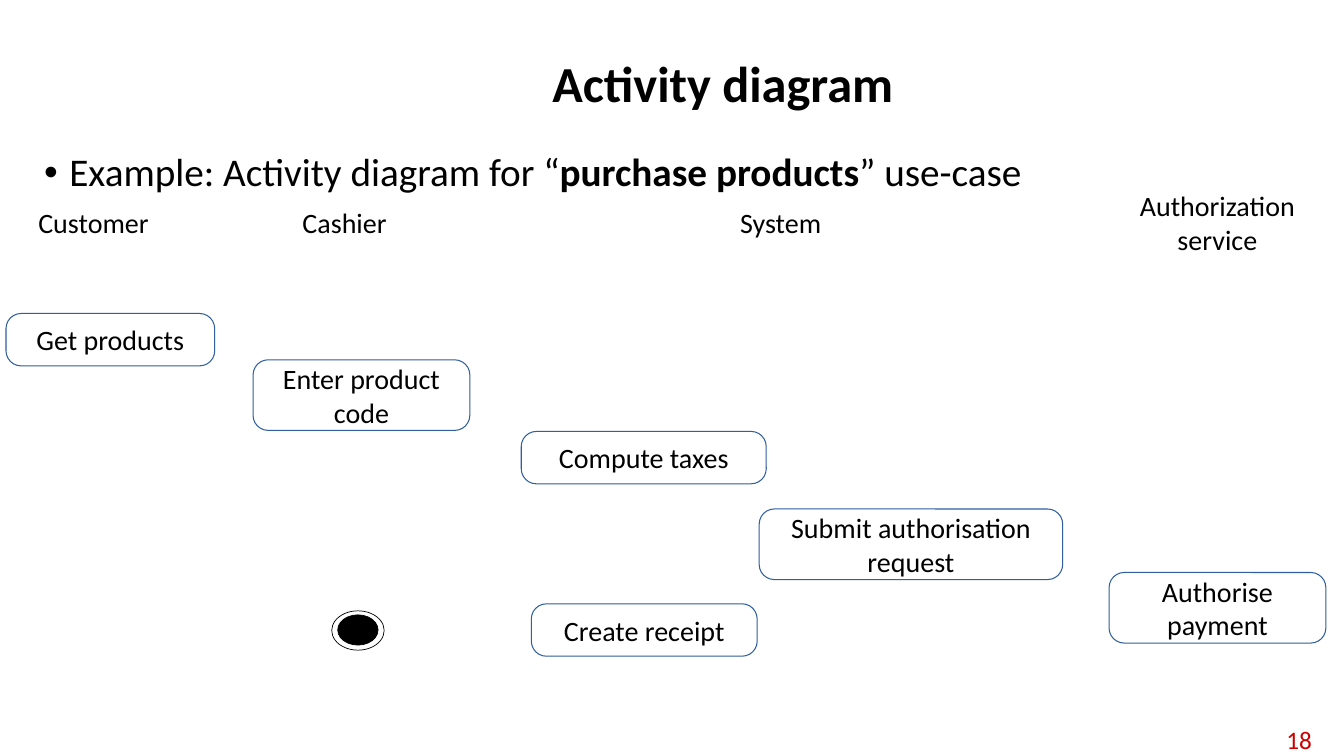
from dataclasses import dataclass

from lxml.etree import SubElement
from pptx import Presentation
from pptx.dml.color import RGBColor
from pptx.enum.shapes import MSO_SHAPE
from pptx.enum.text import MSO_ANCHOR, MSO_AUTO_SIZE, PP_ALIGN
from pptx.oxml.ns import qn
from pptx.shapes.autoshape import Shape
from pptx.slide import Slide
from pptx.text.text import TextFrame
from pptx.util import Inches, Pt


@dataclass(frozen=True)
class Theme:
    font: str = "Calibri"
    ink: RGBColor = RGBColor(0, 0, 0)
    number: RGBColor = RGBColor(0xCC, 0, 0)
    outline: RGBColor = RGBColor(0x2F, 0x5F, 0x9E)
    title_size: float = 36
    body_size: float = 28
    label_size: float = 20
    number_size: float = 18
    outline_width: float = 0.75
    marker_width: float = 0.5
    corner_radius: float = 0.15


THEME = Theme()


@dataclass(frozen=True)
class Area:
    left: float
    top: float
    width: float
    height: float

    def lengths(self) -> list[int]:
        return [Inches(side) for side in (self.left, self.top, self.width, self.height)]


@dataclass(frozen=True)
class Label:
    text: str
    area: Area
    align: PP_ALIGN = PP_ALIGN.CENTER


ONE_LINE, TWO_LINES = 0.52, 0.7
LANE_TOP, LANE_HEIGHT = 1.99, 0.43

LANES = [
    Label("Customer", Area(0.33, LANE_TOP, 1.31, LANE_HEIGHT), PP_ALIGN.LEFT),
    Label("Cashier", Area(2.95, LANE_TOP, 1.06, LANE_HEIGHT), PP_ALIGN.LEFT),
    Label("System", Area(7.29, LANE_TOP, 1.03, LANE_HEIGHT), PP_ALIGN.LEFT),
    Label("Authorization\nservice", Area(11.21, 1.82, 1.73, 0.77)),
]
ACTIVITIES = [
    Label("Get products", Area(0.06, 3.11, 2.07, ONE_LINE)),
    Label("Enter product code", Area(2.51, 3.57, 2.15, TWO_LINES)),
    Label("Compute taxes", Area(5.17, 4.28, 2.43, ONE_LINE)),
    Label("Create receipt", Area(5.27, 5.99, 2.24, ONE_LINE)),
    Label("Submit authorisation request", Area(7.53, 5.05, 3.01, TWO_LINES)),
    Label("Authorise\npayment", Area(11, 5.68, 2.15, TWO_LINES)),
]


def set_margins(frame: TextFrame, margin: float) -> None:
    frame.margin_left = frame.margin_right = Inches(margin)
    frame.margin_top = frame.margin_bottom = Inches(margin)


def write(frame: TextFrame, text: str, size: float, align: PP_ALIGN,
          color: RGBColor = THEME.ink, bold: bool = False) -> None:
    """Fill the frame, one paragraph for each line of text."""
    frame.vertical_anchor = MSO_ANCHOR.MIDDLE
    frame.text = text
    for para in frame.paragraphs:
        para.alignment = align
        para.font.name = THEME.font
        para.font.size = Pt(size)
        para.font.color.rgb = color
        para.font.bold = bold


def add_text(page: Slide, area: Area) -> TextFrame:
    frame = page.shapes.add_textbox(*area.lengths()).text_frame
    frame.word_wrap = True
    return frame


def add_outline(page: Slide, kind: MSO_SHAPE, area: Area,
                color: RGBColor, width: float) -> Shape:
    """Add an unfilled shape with a thin line."""
    shape = page.shapes.add_shape(kind, *area.lengths())
    shape.shadow.inherit = False
    shape.fill.background()
    shape.line.color.rgb = color
    shape.line.width = Pt(width)
    return shape


def add_title(page: Slide) -> None:
    frame = add_text(page, Area(2.08, 0.34, 10.18, 1.02))
    write(frame, "Activity diagram", THEME.title_size, PP_ALIGN.CENTER, bold=True)
    frame.paragraphs[0].line_spacing = 0.9


def add_example(page: Slide) -> None:
    para = add_text(page, Area(0.34, 1.47, 12.8, 5.17)).paragraphs[0]
    para.line_spacing = 0.9
    properties = para._p.get_or_add_pPr()
    properties.set("marL", str(Inches(0.25)))
    properties.set("indent", str(Inches(-0.25)))
    SubElement(properties, qn("a:buFont"), typeface="Arial")
    SubElement(properties, qn("a:buChar"), char="•")
    para.font.name = THEME.font
    para.font.size = Pt(THEME.body_size)
    para.font.color.rgb = THEME.ink
    for text, bold in [("Example: Activity diagram for “", False),
                       ("purchase products", True), ("” use-case", False)]:
        span = para.add_run()
        span.text = text
        span.font.bold = bold


def add_lane(page: Slide, lane: Label) -> None:
    frame = add_text(page, lane.area)
    frame.word_wrap = False
    frame.auto_size = MSO_AUTO_SIZE.SHAPE_TO_FIT_TEXT
    set_margins(frame, 0.05)
    write(frame, lane.text, THEME.label_size, lane.align)


def add_activity(page: Slide, activity: Label) -> None:
    box = add_outline(page, MSO_SHAPE.ROUNDED_RECTANGLE, activity.area,
                      THEME.outline, THEME.outline_width)
    box.adjustments[0] = THEME.corner_radius / activity.area.height
    box.text_frame.word_wrap = True
    set_margins(box.text_frame, 0)
    write(box.text_frame, activity.text, THEME.label_size, activity.align)


def add_final_node(page: Slide) -> None:
    disc, ring = [
        add_outline(page, MSO_SHAPE.OVAL, area, THEME.ink, THEME.marker_width)
        for area in (Area(3.35, 6.1, 0.4, 0.3), Area(3.29, 6.06, 0.52, 0.39))
    ]
    disc.fill.solid()
    disc.fill.fore_color.rgb = THEME.ink


def add_page_number(page: Slide) -> None:
    frame = add_text(page, Area(12.42, 7.16, 0.69, 0.36))
    write(frame, "18", THEME.number_size, PP_ALIGN.RIGHT, THEME.number)


def main() -> None:
    deck = Presentation()
    deck.slide_width, deck.slide_height = Inches(13.33), Inches(7.5)
    page = deck.slides.add_slide(deck.slide_layouts[6])
    add_page_number(page)
    add_title(page)
    add_example(page)
    for lane in LANES:
        add_lane(page, lane)
    for activity in ACTIVITIES:
        add_activity(page, activity)
    add_final_node(page)
    deck.save("out.pptx")


if __name__ == "__main__":
    main()
